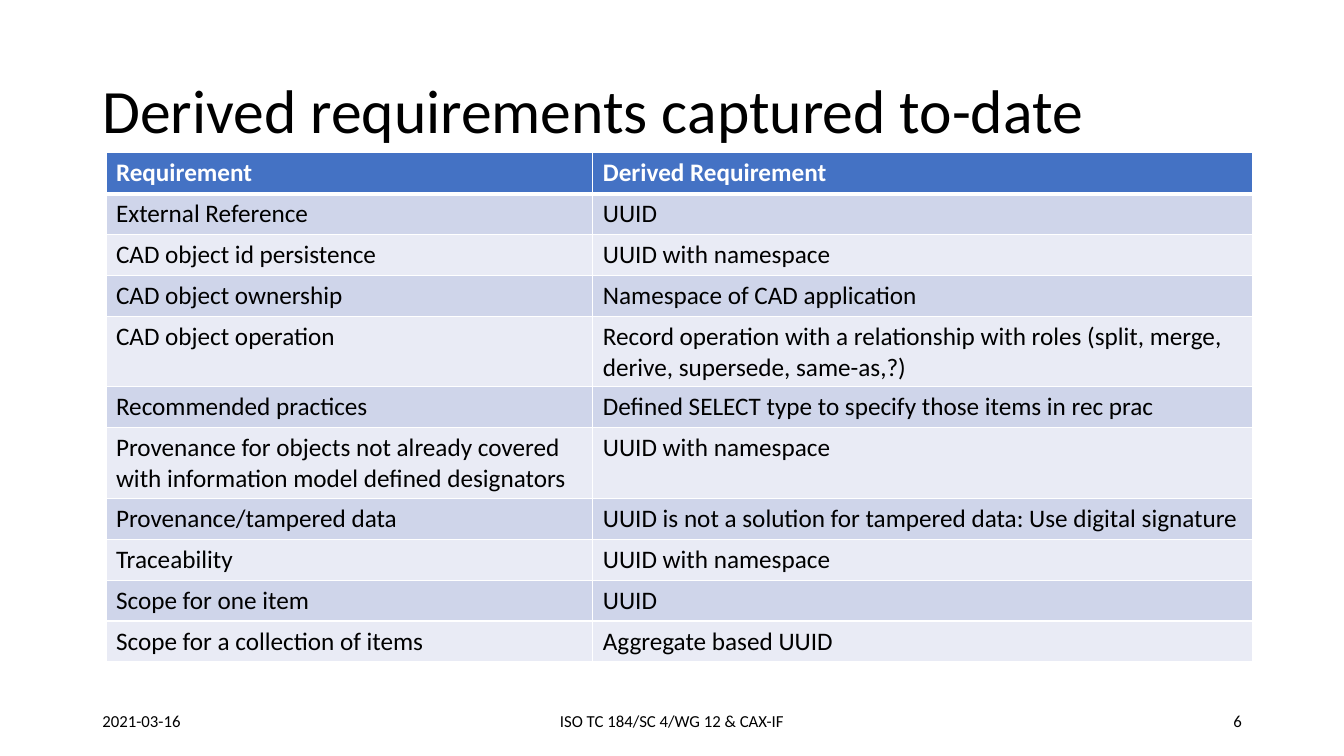
import pptx
import pptx.dml.color
import pptx.enum.text
import pptx.util
from lxml import etree
from pptx.oxml.ns import qn

Cm = pptx.util.Cm
Pt = pptx.util.Pt
ALIGN = pptx.enum.text.PP_ALIGN
ANCHOR = pptx.enum.text.MSO_ANCHOR

FONT = "Calibri"
BLACK, WHITE = "000000", "FFFFFF"
HEADER_FILL = "4472C4"
BAND_FILLS = ("E9EBF5", "CFD5EA")
COL_WIDTHS = (12.27, 16.62)
ROW_HEIGHT = 1.03

REQUIREMENTS = [
    ("Requirement", "Derived Requirement"),
    ("External Reference", "UUID"),
    ("CAD object id persistence", "UUID with namespace"),
    ("CAD object ownership", "Namespace of CAD application"),
    ("CAD object operation",
     "Record operation with a relationship with roles "
     "(split, merge, derive, supersede, same-as,?)"),
    ("Recommended practices",
     "Defined SELECT type to specify those items in rec prac"),
    ("Provenance for objects not already covered with information model "
     "defined designators", "UUID with namespace"),
    ("Provenance/tampered data",
     "UUID is not a solution for tampered data: Use digital signature"),
    ("Traceability", "UUID with namespace"),
    ("Scope for one item", "UUID"),
    ("Scope for a collection of items", "Aggregate based UUID"),
]

FOOTERS = [
    ("2021-03-16", 2.33, 7.62, ALIGN.LEFT),
    ("ISO TC 184/SC 4/WG 12 & CAX-IF", 11.22, 11.43, ALIGN.CENTER),
    ("6", 23.93, 7.62, ALIGN.RIGHT),
]


def rgb(value):
    return pptx.dml.color.RGBColor.from_string(value)


def format_text(tf, size, color=BLACK, bold=False):
    for p in tf.paragraphs:
        for r in p.runs:
            r.font.name = FONT
            r.font.size = Pt(size)
            r.font.bold = bold
            r.font.color.rgb = rgb(color)


def add_text(slide, text, left, top, width, height, size, align=ALIGN.LEFT):
    sp = slide.shapes.add_textbox(Cm(left), Cm(top), Cm(width), Cm(height))
    tf = sp.text_frame
    tf.text = text
    tf.word_wrap = True
    tf.vertical_anchor = ANCHOR.MIDDLE
    tf.paragraphs[0].alignment = align
    format_text(tf, size)
    return tf


def add_border(cell, side, width):
    tc_pr = cell._tc.get_or_add_tcPr()
    ln = etree.SubElement(tc_pr, qn(f"a:ln{side}"), w=str(Pt(width)))
    fill = etree.SubElement(ln, qn("a:solidFill"))
    etree.SubElement(fill, qn("a:srgbClr"), val=WHITE)


def format_cell(cell, text, row):
    header = row == 0
    cell.text = text
    format_text(cell.text_frame, 18, WHITE if header else BLACK, header)
    widths = {"L": 1, "R": 1, "T": 3 if row == 1 else 1, "B": 3 if header else 1}
    for side, width in widths.items():
        add_border(cell, side, width)
    cell.fill.solid()
    cell.fill.fore_color.rgb = rgb(HEADER_FILL if header else BAND_FILLS[row % 2])


def add_requirements_table(slide, left, top):
    rows, cols = len(REQUIREMENTS), len(COL_WIDTHS)
    table = slide.shapes.add_table(
        rows, cols, Cm(left), Cm(top),
        Cm(sum(COL_WIDTHS)), Cm(rows * ROW_HEIGHT)).table
    for column, width in zip(table.columns, COL_WIDTHS):
        column.width = Cm(width)
    for i, texts in enumerate(REQUIREMENTS):
        table.rows[i].height = Cm(ROW_HEIGHT)
        for j, text in enumerate(texts):
            format_cell(table.cell(i, j), text, i)


def main():
    prs = pptx.Presentation()
    prs.slide_width, prs.slide_height = Cm(33.87), Cm(19.05)
    slide = prs.slides.add_slide(prs.slide_layouts[6])
    title = add_text(slide, "Derived requirements captured to-date",
                     2.33, 1.01, 29.21, 3.68, 44)
    title.paragraphs[0].line_spacing = 0.9
    for text, left, width, align in FOOTERS:
        add_text(slide, text, left, 17.66, width, 1.01, 12, align)
    add_requirements_table(slide, 2.67, 3.85)
    prs.save("out.pptx")


main()
